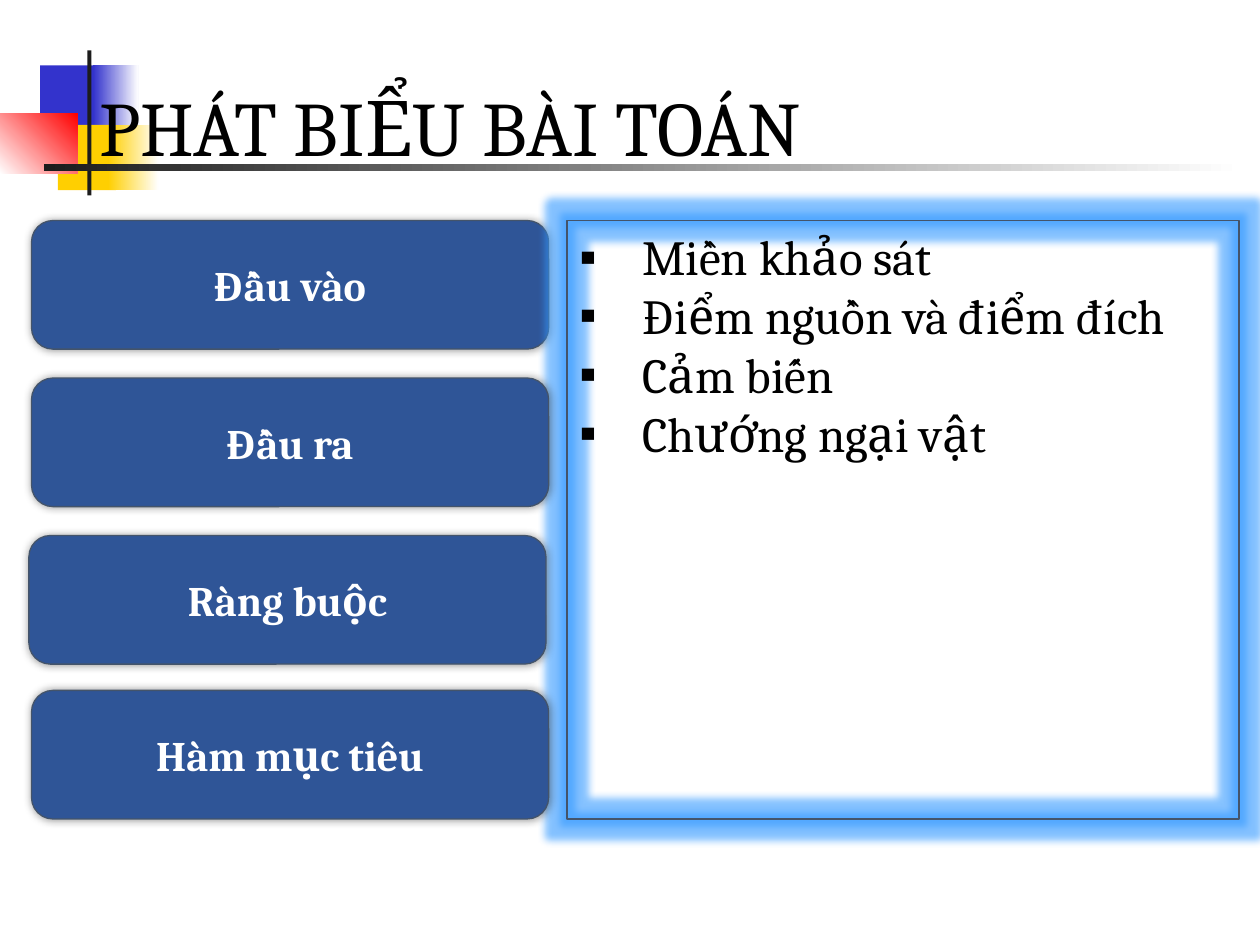
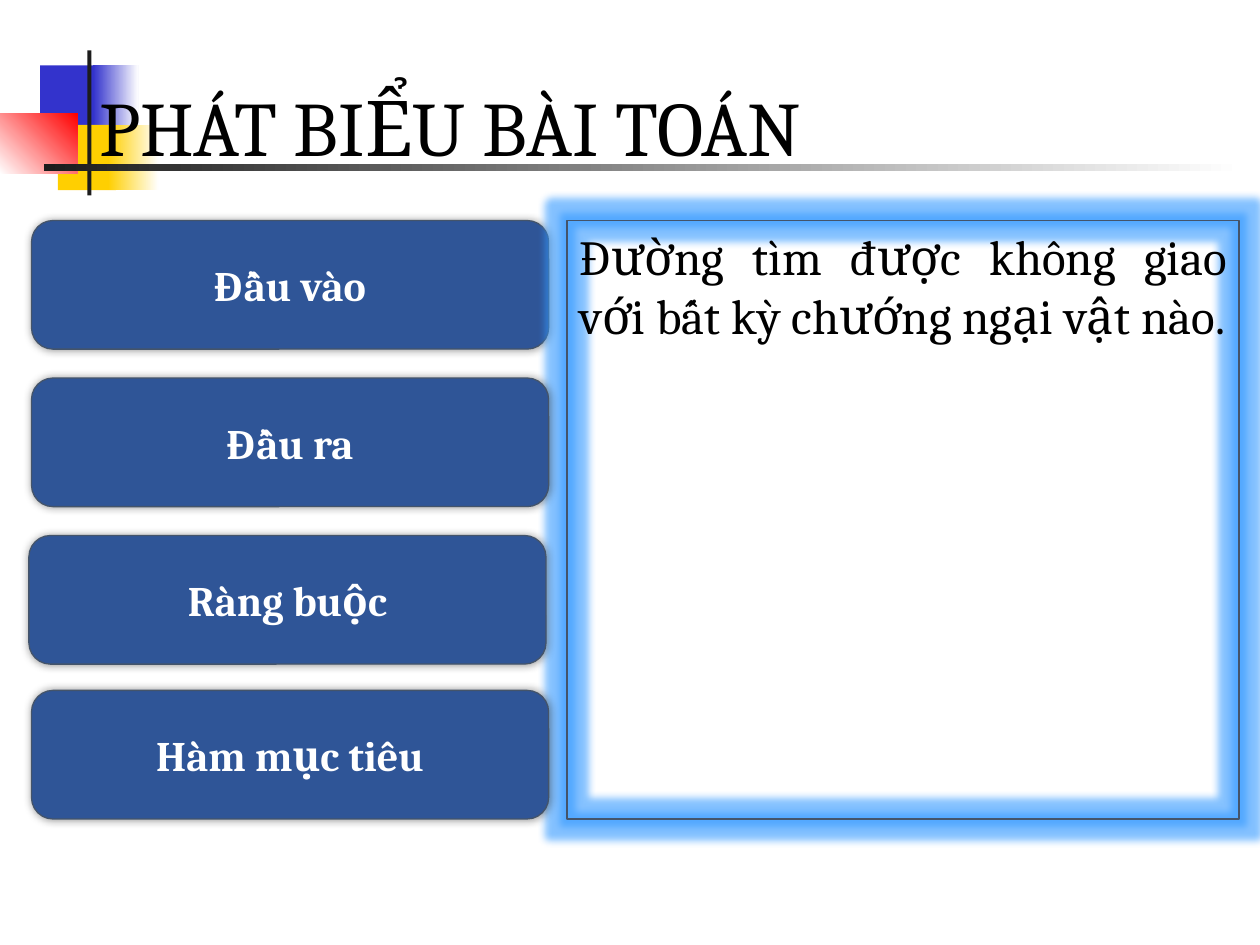
from dataclasses import dataclass
from typing import Any

from lxml import etree
from pptx import Presentation
from pptx.dml.color import RGBColor
from pptx.enum.shapes import MSO_SHAPE
from pptx.enum.text import MSO_ANCHOR, PP_ALIGN
from pptx.oxml.ns import qn
from pptx.util import Pt

COLORS = {
    "blue": "3333CC", "yellow": "FFCF01", "red": "FF0000", "ink": "1C1C1C",
    "white": "FFFFFF", "black": "000000", "button": "2F5597",
    "outline": "44546A", "glow": "3399FF",
}
TITLE = "PHÁT BIỂU BÀI TOÁN"
TITLE_FORMAT = {"name": "Cambria", "size": Pt(44), "bold": False}
BUTTON_FORMAT = {"name": "Cambria", "size": Pt(24), "bold": True}
BODY_FORMAT = {"name": "Cambria", "size": Pt(28), "bold": False}


@dataclass(frozen=True)
class Box:
    left: float
    top: float
    width: float
    height: float

    def lengths(self) -> list[Pt]:
        return [Pt(v) for v in (self.left, self.top, self.width, self.height)]


@dataclass(frozen=True)
class Band:
    box: Box
    start: str
    end: str = ""  # a second colour makes a gradient
    angle: float = 0


@dataclass(frozen=True)
class Button:
    label: str
    top: float
    left: float = 18


@dataclass(frozen=True)
class Topic:
    lines: tuple[str, ...]
    bulleted: bool


BANDS = [
    Band(Box(23, 37.4, 34.6, 37.4), "blue"),
    Band(Box(53.3, 37.4, 25.9, 37.4), "blue", "white"),
    Band(Box(33.1, 71.3, 33.1, 37.4), "yellow"),
    Band(Box(61.9, 71.3, 28.8, 37.4), "yellow", "white"),
    Band(Box(0, 64.8, 44.3, 34.6), "white", "red", 45),
    Band(Box(49.9, 28.8, 2.4, 82.8), "ink"),
    Band(Box(25.2, 93.8, 684.7, 4), "ink", "white"),
]
TITLE_BOX = Box(49.7, 23, 620.6, 104.4)
PANEL_BOX = Box(324, 126, 384, 342)
BUTTON_WIDTH, BUTTON_HEIGHT = 295.5, 73.5
BUTTONS = [
    Button("Đầu vào", 126),
    Button("Đầu ra", 216),
    Button("Ràng buộc", 306, 16.5),
    Button("Hàm mục tiêu", 394.5),
]
TOPICS = [
    Topic(("Miền khảo sát", "Điểm nguồn và điểm đích", "Cảm biến",
           "Chướng ngại vật"), True),
    Topic(("Đường tìm được không giao với bất kỳ chướng ngại vật nào.",), False),
]


def rgb(color: str) -> RGBColor:
    return RGBColor.from_string(COLORS[color])


def add_run(paragraph: Any, text: str, color: str, style: dict[str, Any]) -> None:
    run = paragraph.add_run()
    run.text = text
    for attribute, value in style.items():
        setattr(run.font, attribute, value)
    run.font.color.rgb = rgb(color)


def add_box(slide: Any, kind: MSO_SHAPE, box: Box, outline: str = "") -> Any:
    shape = slide.shapes.add_shape(kind, *box.lengths())
    shape.shadow.inherit = False
    if outline:
        shape.line.color.rgb = rgb(outline)
        shape.line.width = Pt(0.75)
    else:
        shape.line.fill.background()
    return shape


def add_effect(shape: Any, tag: str, color: str, alpha: int, **lengths: int) -> None:
    effects = shape.element.spPr.find(qn("a:effectLst"))
    attributes = {key: str(value) for key, value in lengths.items()}
    effect = etree.SubElement(effects, qn(tag), attributes)
    tint = etree.SubElement(effect, qn("a:srgbClr"), val=COLORS[color])
    etree.SubElement(tint, qn("a:alpha"), val=str(alpha * 1000))


def add_bullet(paragraph: Any) -> None:
    properties = paragraph._p.get_or_add_pPr()
    properties.set("marL", str(Pt(36)))
    properties.set("indent", str(-Pt(36)))
    etree.SubElement(properties, qn("a:buFont"), typeface="Arial")
    etree.SubElement(properties, qn("a:buChar"), char="▪")


def draw_header(slide: Any) -> None:
    # Coloured corner blocks and rules
    for band in BANDS:
        fill = add_box(slide, MSO_SHAPE.RECTANGLE, band.box).fill
        if band.end:
            fill.gradient()
            fill.gradient_angle = band.angle
            for stop, color in zip(fill.gradient_stops, (band.start, band.end)):
                stop.color.rgb = rgb(color)
        else:
            fill.solid()
            fill.fore_color.rgb = rgb(band.start)
    # Title
    frame = slide.shapes.add_textbox(*TITLE_BOX.lengths()).text_frame
    frame.word_wrap = True
    frame.vertical_anchor = MSO_ANCHOR.MIDDLE
    frame.paragraphs[0].line_spacing = 0.9
    add_run(frame.paragraphs[0], TITLE, "black", TITLE_FORMAT)


def draw_button(slide: Any, button: Button) -> None:
    box = Box(button.left, button.top, BUTTON_WIDTH, BUTTON_HEIGHT)
    shape = add_box(slide, MSO_SHAPE.ROUNDED_RECTANGLE, box, "outline")
    shape.fill.solid()
    shape.fill.fore_color.rgb = rgb("button")
    add_effect(shape, "a:outerShdw", "black", 40, blurRad=Pt(5), dist=0, dir=0)
    frame = shape.text_frame
    frame.vertical_anchor = MSO_ANCHOR.MIDDLE
    frame.paragraphs[0].alignment = PP_ALIGN.CENTER
    add_run(frame.paragraphs[0], button.label, "white", BUTTON_FORMAT)


def draw_panel(slide: Any, topic: Topic) -> None:
    panel = add_box(slide, MSO_SHAPE.RECTANGLE, PANEL_BOX, "outline")
    panel.fill.background()
    add_effect(panel, "a:glow", "glow", 60, rad=Pt(8))
    frame = panel.text_frame
    frame.word_wrap = True
    frame.vertical_anchor = MSO_ANCHOR.TOP
    for index, line in enumerate(topic.lines):
        paragraph = frame.add_paragraph() if index else frame.paragraphs[0]
        paragraph.alignment = PP_ALIGN.LEFT if topic.bulleted else PP_ALIGN.JUSTIFY
        if topic.bulleted:
            add_bullet(paragraph)
        add_run(paragraph, line, "black", BODY_FORMAT)


def main() -> None:
    deck = Presentation()
    deck.slide_width, deck.slide_height = Pt(720), Pt(540)
    for topic in TOPICS:
        slide = deck.slides.add_slide(deck.slide_layouts[6])
        draw_header(slide)
        # The panel lies above the first button and below the others
        first, *others = BUTTONS
        draw_button(slide, first)
        draw_panel(slide, topic)
        for button in others:
            draw_button(slide, button)
    deck.save("out.pptx")


if __name__ == "__main__":
    main()
